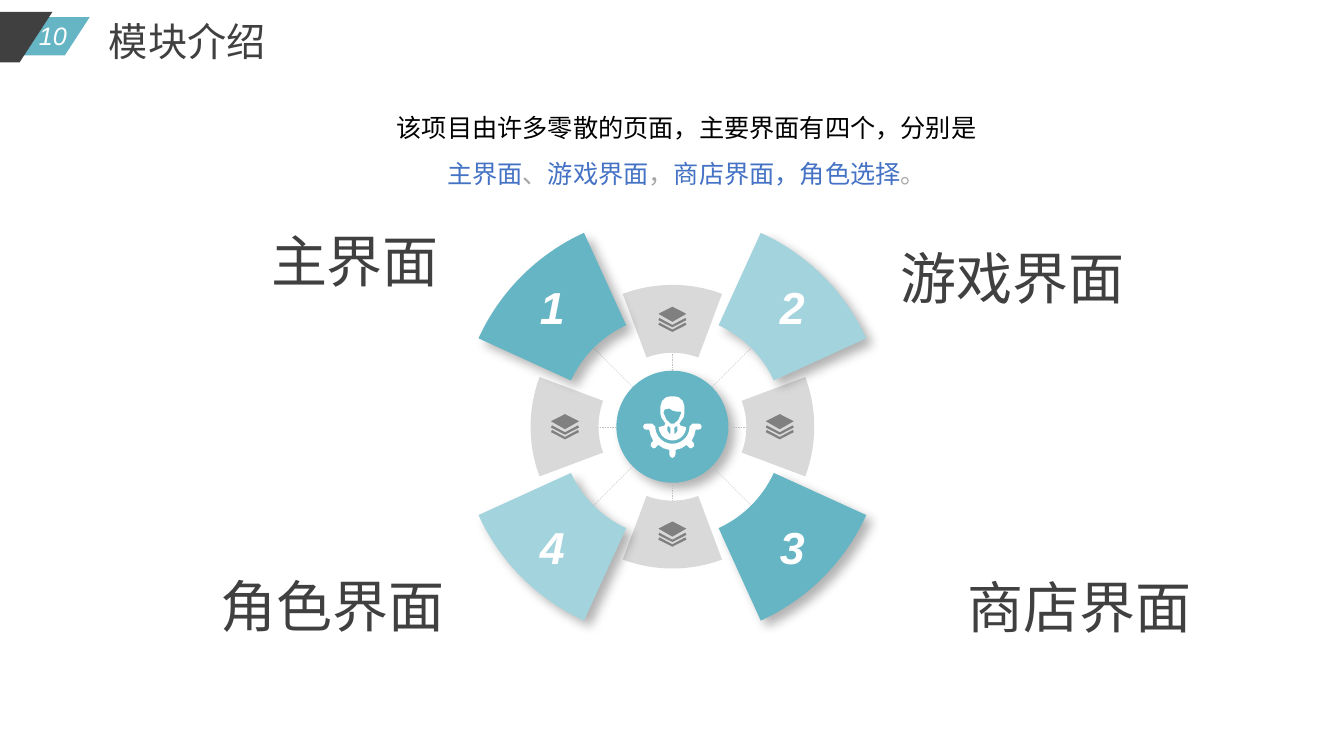
from dataclasses import dataclass
from math import cos, radians, sin

from lxml import etree
from pptx import Presentation
from pptx import util as u
from pptx.dml.color import RGBColor
from pptx.enum import dml, shapes, text
from pptx.oxml import ns

Pt = u.Pt
Points = list[tuple[float, float]]
ALIGN, ANCHOR = text.PP_ALIGN, text.MSO_ANCHOR
LATIN, CJK = "Arial", "Noto Sans CJK SC"
TEAL, PALE, DARK, GREY = "66B5C4", "A3D3DD", "404040", "D9D9D9"
WHITE, BLUE, MUTED = "FFFFFF", "4472C4", "A6A6A6"
CX, CY = 480.3, 304.8  # centre of the wheel
HALF_SPAN = 20.5  # half the angle of each sector


@dataclass
class Sector:
    angle: float  # clockwise from the right
    inner: float
    outer: float
    color: str
    number: str = ""


@dataclass
class Label:
    words: str
    left: float
    top: float
    width: float


SECTORS = [
    *(Sector(a, 52.8, 101.3, GREY) for a in (0, 90, 180, 270)),
    Sector(225, 79.6, 152.2, TEAL, "1"),
    Sector(315, 79.6, 152.2, PALE, "2"),
    Sector(45, 79.6, 152.2, TEAL, "3"),
    Sector(135, 79.6, 152.2, PALE, "4"),
]
LABELS = [
    Label("主界面", 186.5, 134.6, 168),
    Label("游戏界面", 636.5, 146.2, 225),
    Label("商店界面", 684, 381.6, 189),
    Label("角色界面", 150.5, 380.9, 180),
]


def rgb(color: str) -> RGBColor:
    return RGBColor.from_string(color)


def add_run(p, words: str, *, size: float, color: str, font: str = LATIN,
            bold: bool = False, italic: bool = False) -> None:
    r = p.add_run()
    r.text = words
    f = r.font
    f.size, f.name, f.bold, f.italic = Pt(size), font, bold, italic
    f.color.rgb = rgb(color)
    etree.SubElement(r._r.get_or_add_rPr(), ns.qn("a:ea"), typeface=CJK)


def paint(sp, color: str, shadow: bool = False) -> None:
    sp.fill.solid()
    sp.fill.fore_color.rgb = rgb(color)
    sp.line.fill.background()
    sp.shadow.inherit = False
    if shadow:
        effects = sp._element.spPr.find(ns.qn("a:effectLst"))
        outer = etree.SubElement(
            effects, ns.qn("a:outerShdw"), blurRad=str(Pt(8)), dist=str(Pt(6)),
            dir=str(45 * 60000), algn="tl", rotWithShape="0")
        tint = etree.SubElement(outer, ns.qn("a:srgbClr"), val="000000")
        etree.SubElement(tint, ns.qn("a:alpha"), val="30000")


def add_preset(s, kind, left: float, top: float, width: float, height: float,
               color: str, shadow: bool = False):
    sp = s.shapes.add_shape(kind, Pt(left), Pt(top), Pt(width), Pt(height))
    paint(sp, color, shadow)
    return sp


def add_outline(s, contours: list[Points], x: float, y: float, color: str,
                shadow: bool = False):
    """Draw closed contours given relative to the point x, y."""
    placed = [[(Pt(x + a), Pt(y + b)) for a, b in c] for c in contours]
    builder = s.shapes.build_freeform(*placed[0][0])
    for i, contour in enumerate(placed):
        if i:
            builder.move_to(*contour[0])
        builder.add_line_segments(contour[1:], close=True)
    sp = builder.convert_to_shape()
    paint(sp, color, shadow)
    return sp


def add_text(s, left: float, top: float, width: float, height: float,
             wrap: bool = True):
    tf = s.shapes.add_textbox(Pt(left), Pt(top), Pt(width), Pt(height)).text_frame
    tf.word_wrap = wrap
    return tf


def polar(radius: float, angle: float) -> tuple[float, float]:
    return radius * cos(radians(angle)), radius * sin(radians(angle))


def arc(radius: float, start: float, end: float, steps: int = 24) -> Points:
    return [polar(radius, start + (end - start) * i / steps) for i in range(steps + 1)]


def flip(points: Points) -> Points:
    return [(-x, y) for x, y in reversed(points)]


def add_sector(s, sector: Sector) -> None:
    a, b = sector.angle - HALF_SPAN, sector.angle + HALF_SPAN
    ring = arc(sector.outer, a, b) + arc(sector.inner, b, a)
    sp = add_outline(s, [ring], CX, CY, sector.color, bool(sector.number))
    if sector.number:
        tf = sp.text_frame
        tf.vertical_anchor = ANCHOR.MIDDLE
        tf.paragraphs[0].alignment = ALIGN.CENTER
        add_run(tf.paragraphs[0], sector.number, size=32, color=WHITE,
                bold=True, italic=True)


def add_stack_icon(s, angle: float) -> None:
    x, y = polar(76.7, angle)
    sheet = [(0, -9), (10, -3.9), (0, 1.8), (-10, -3.9)]
    edge = [(-9.3, -1), (0, 4), (9.3, -1), (10, 0.6), (0, 5.7), (-10, 0.6)]
    lower = [(a, b + 3.3) for a, b in edge]
    add_outline(s, [sheet, edge, lower], CX + x, CY + y, "808080")


def add_helmsman_icon(s) -> None:
    rim = [(14.4, -2.2), (18.7, -2.2), (20.3, -1.5), (20.9, 0), (20.3, 1.5),
           (18.7, 2.2), (16.6, 2.2), (15.6, 6.2), (13.7, 10.1), (15.1, 11.5),
           (15.6, 13.7), (13.7, 15.5), (12.2, 15.1), (10.1, 13), (6.5, 15.4),
           (2.2, 16.6), (2.2, 19.8), (1.4, 21.6), (0, 22.3)]
    wheel = rim + flip(rim) + arc(12.2, 180, 0)
    side = [(0, -21.7), (1.4, -21.7), (4.5, -21), (7.4, -18.4), (8.6, -14.4),
            (8.6, -9.4), (7.9, -6.5), (5.8, -3.6), (5, -2.2), (5.8, -0.7),
            *arc(9.8, 2, 90)]
    face = [(-2.2, -13), (-5.6, -12.2), (-6.5, -10.1), (-5.8, -8.6), (-4.3, -5),
            (-1.4, -2.2), (1.4, -2.2), (4.3, -5), (5.8, -8.6), (6.5, -10.1),
            (5.6, -10.8), (2.9, -10.8), (0, -11.5)]
    lapel = [(1.4, 0.7), (2.9, -0.4), (3.6, 0), (3.6, 2.9), (2.2, 5), (1.4, 5)]
    add_outline(s, [wheel, side + flip(side), face, lapel, flip(lapel)], CX, CY, WHITE)


def add_spoke(s, angle: float) -> None:
    (x1, y1), (x2, y2) = polar(40, angle), polar(80 if angle % 90 else 54, angle)
    c = s.shapes.add_connector(shapes.MSO_CONNECTOR.STRAIGHT, Pt(CX + x1),
                               Pt(CY + y1), Pt(CX + x2), Pt(CY + y2))
    c.line.color.rgb = rgb("BFBFBF")
    c.line.width = Pt(0.25)
    c.line.dash_style = dml.MSO_LINE.DASH
    etree.SubElement(c._element.spPr, ns.qn("a:effectLst"))


def main() -> None:
    prs = Presentation()
    prs.slide_width, prs.slide_height = Pt(960), Pt(540)
    s = prs.slides.add_slide(prs.slide_layouts[5])

    # Header
    for box, color in (((-79.2, 12.2, 143.3, 27.4), TEAL),
                       ((-149.8, 8.6, 187.2, 36), DARK)):
        sp = add_preset(s, shapes.MSO_SHAPE.PARALLELOGRAM, *box, color)
        sp.adjustments[0] = 0.65
    p = add_text(s, 19.4, 10.8, 36.7, 28.8, wrap=False).paragraphs[0]
    p.alignment = ALIGN.CENTER
    add_run(p, "10", size=18, color=WHITE, italic=True)
    title = s.shapes.title
    title.left, title.top, title.width, title.height = Pt(70.6), Pt(8.6), Pt(127.4), Pt(41)
    tf = title.text_frame
    tf.word_wrap, tf.auto_size = False, text.MSO_AUTO_SIZE.NONE
    tf.vertical_anchor = ANCHOR.TOP
    tf.paragraphs[0].alignment = ALIGN.LEFT
    add_run(tf.paragraphs[0], "模块介绍", size=28, color=DARK, font=CJK)

    # Wheel
    add_preset(s, shapes.MSO_SHAPE.OVAL, CX - 40, CY - 40, 80, 80, TEAL, shadow=True)
    add_helmsman_icon(s)
    for angle in range(0, 360, 45):
        add_spoke(s, angle)
    for sector in SECTORS:
        add_sector(s, sector)
    for angle in range(0, 360, 90):
        add_stack_icon(s, angle)

    # Labels
    for label in LABELS:
        p = add_text(s, label.left, label.top, label.width, 72).paragraphs[0]
        p.alignment, p.line_spacing, p.space_before = ALIGN.JUSTIFY, 1.5, Pt(8)
        add_run(p, label.words, size=40, color=DARK, font=CJK)

    # Introduction
    tf = add_text(s, 213.1, 66.2, 554.4, 69.1)
    intro = [
        [("该项目由许多零散的页面，主要界面有四个，分别是", "000000")],
        [("主界面", BLUE), ("、", MUTED), ("游戏界面", BLUE), ("，", MUTED),
         ("商店界面，角色选择", BLUE), ("。", MUTED)],
    ]
    for i, runs in enumerate(intro):
        p = tf.add_paragraph() if i else tf.paragraphs[0]
        p.alignment, p.line_spacing = ALIGN.CENTER, 1.5
        for words, color in runs:
            add_run(p, words, size=18, color=color)

    prs.save("out.pptx")


if __name__ == "__main__":
    main()
